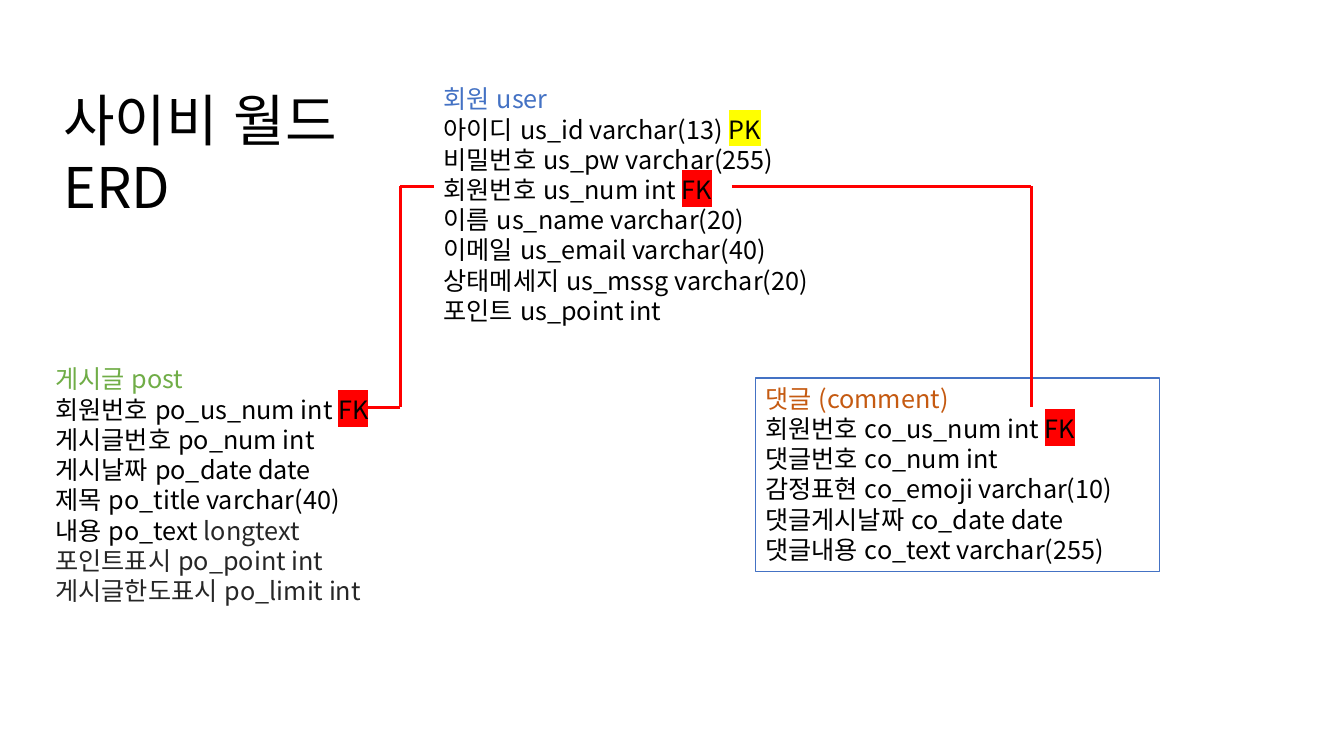
from lxml.etree import SubElement
from pptx import Presentation
from pptx.dml.color import RGBColor
from pptx.enum.lang import MSO_LANGUAGE_ID
from pptx.enum.shapes import MSO_CONNECTOR, MSO_SHAPE
from pptx.enum.text import MSO_ANCHOR, PP_ALIGN
from pptx.oxml.ns import qn
from pptx.util import Inches, Pt

FONT = "Noto Sans CJK KR"
BLACK, RED, YELLOW, BLUE = "000000", "FF0000", "FFFF00", "4472C4"
GREEN, ORANGE, DARK_GRAY = "70AD47", "C55A11", "262626"

# Each row is a list of (text, color, highlight) runs.
FOREIGN_KEY = ("FK", BLACK, RED)
PRIMARY_KEY = ("PK", BLACK, YELLOW)


def row(text, *extra_runs, color=BLACK):
    return [(text, color, None), *extra_runs]


USER_ROWS = [
    row("회원 user", color=BLUE),
    row("아이디 us_id varchar(13) ", PRIMARY_KEY),
    row("비밀번호 us_pw varchar(255)"),
    row("회원번호 us_num int ", FOREIGN_KEY),
    row("이름 us_name varchar(20)"),
    row("이메일 us_email varchar(40)"),
    row("상태메세지 us_mssg varchar(20)"),
    row("포인트 us_point int"),
]
POST_ROWS = [
    row("게시글 post", color=GREEN),
    row("회원번호 po_us_num int ", FOREIGN_KEY),
    row("게시글번호 po_num int"),
    row("게시날짜 po_date date"),
    row("제목 po_title varchar(40)"),
    row("내용 po_text ", ("longtext", DARK_GRAY, None)),
    row("포인트표시 po_point int", color=DARK_GRAY),
    row("게시글한도표시 po_limit int", color=DARK_GRAY),
]
COMMENT_ROWS = [
    row("댓글 (comment)", color=ORANGE),
    row("회원번호 co_us_num int ", FOREIGN_KEY),
    row("댓글번호 co_num int"),
    row("감정표현 co_emoji varchar(10)"),
    row("댓글게시날짜 co_date date"),
    row("댓글내용 co_text varchar(255)"),
]


def rgb(color):
    return RGBColor.from_string(color)


def add_run(paragraph, text, size=18, color=BLACK, highlight=None):
    run = paragraph.add_run()
    run.text = text
    run.font.size = Pt(size)
    run.font.color.rgb = rgb(color)
    run.font.name = FONT
    run.font.language_id = MSO_LANGUAGE_ID.KOREAN
    properties = run.font._element
    latin = properties.find(qn("a:latin"))
    if highlight:
        marker = properties.makeelement(qn("a:highlight"))
        SubElement(marker, qn("a:srgbClr"), val=highlight)
        latin.addprevious(marker)
    latin.addnext(properties.makeelement(qn("a:ea"), typeface=FONT))


def write_rows(text_frame, rows, **run_format):
    text_frame.word_wrap = True
    for index, runs in enumerate(rows):
        paragraph = text_frame.paragraphs[0] if index == 0 else text_frame.add_paragraph()
        paragraph.alignment = PP_ALIGN.LEFT
        paragraph.line_spacing = 1.0
        for text, color, highlight in runs:
            add_run(paragraph, text, color=color, highlight=highlight, **run_format)


def add_title(slide, left, top, width, height):
    title = slide.shapes.title
    title.left, title.top = Inches(left), Inches(top)
    title.width, title.height = Inches(width), Inches(height)
    title.text_frame.vertical_anchor = MSO_ANCHOR.MIDDLE
    write_rows(title.text_frame, [row("사이비 월드 ERD")], size=40)


def add_entity(slide, rows, left, top, width, height, border=None):
    box = [Inches(length) for length in (left, top, width, height)]
    if border:
        shape = slide.shapes.add_shape(MSO_SHAPE.RECTANGLE, *box)
        shape.shadow.inherit = False
        shape.fill.background()
        shape.line.color.rgb = rgb(border)
        shape.line.width = Pt(0.75)
    else:
        shape = slide.shapes.add_textbox(*box)
    shape.text_frame.vertical_anchor = MSO_ANCHOR.TOP
    write_rows(shape.text_frame, rows)


def add_relation(slide, *points):
    """Join the points, given in inches, with straight red lines."""
    for start, end in zip(points, points[1:]):
        ends = [Inches(length) for length in (*start, *end)]
        connector = slide.shapes.add_connector(MSO_CONNECTOR.STRAIGHT, *ends)
        connector.line.color.rgb = rgb(RED)
        connector.line.width = Pt(2.25)
        SubElement(connector._element.spPr, qn("a:effectLst"))


def main():
    presentation = Presentation()
    presentation.slide_width = Inches(13.33)
    presentation.slide_height = Inches(7.5)
    slide = presentation.slides.add_slide(presentation.slide_layouts[5])

    add_entity(slide, USER_ROWS, 4.3, 0.78, 4.72, 2.52)
    add_entity(slide, POST_ROWS, 0.45, 3.56, 4.17, 2.52)
    add_entity(slide, COMMENT_ROWS, 7.49, 3.75, 4.01, 1.92, border=BLUE)

    user_key_y, child_key_y = 1.85, 4.04
    post_x, comment_x = 3.97, 10.23
    add_relation(slide, (4.3, user_key_y), (post_x, user_key_y),
                 (post_x, child_key_y), (3.64, child_key_y))
    add_relation(slide, (7.26, user_key_y), (comment_x, user_key_y),
                 (comment_x, child_key_y))
    add_title(slide, 0.53, 0.79, 3.17, 1.45)

    presentation.save("out.pptx")


if __name__ == "__main__":
    main()
